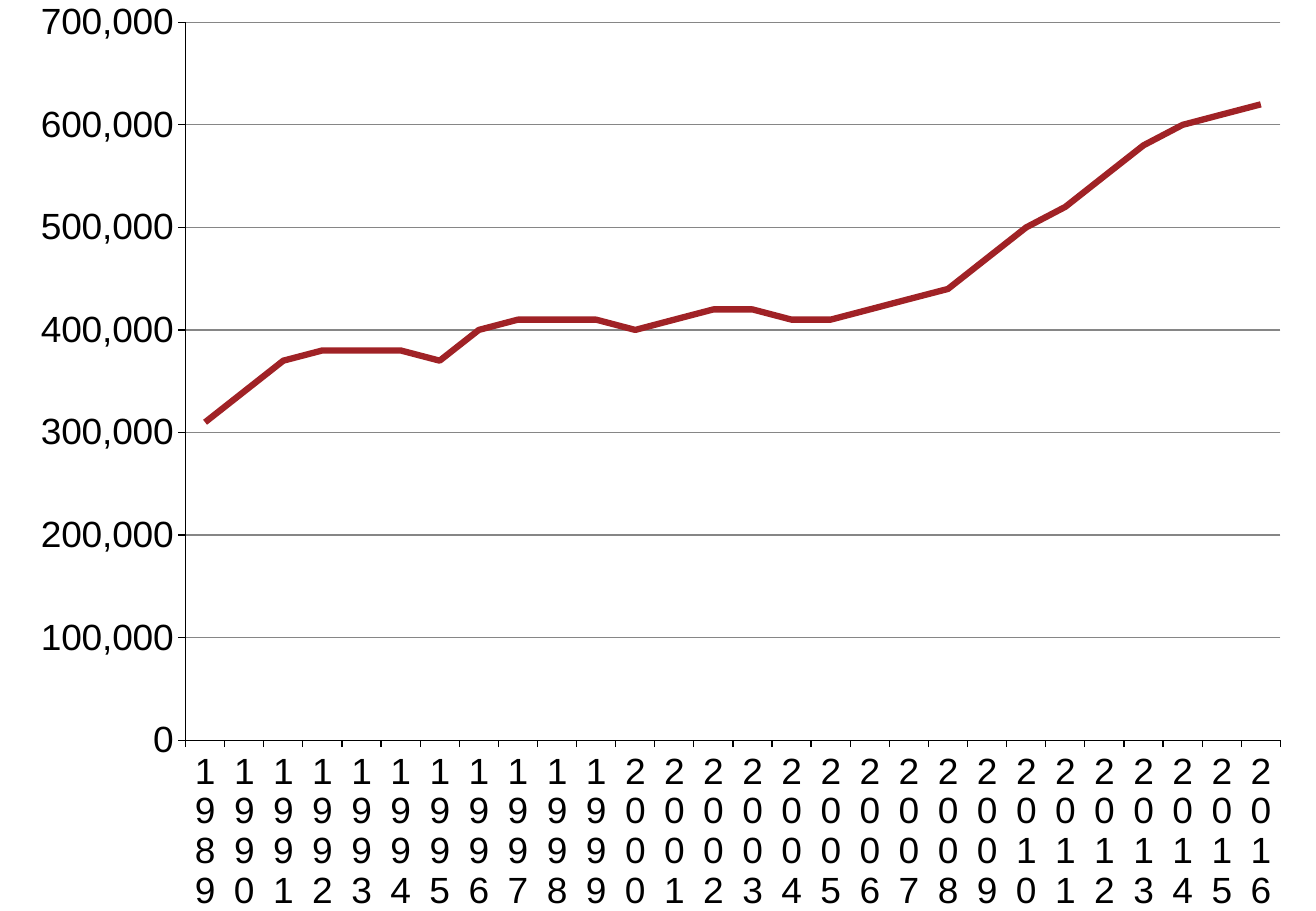
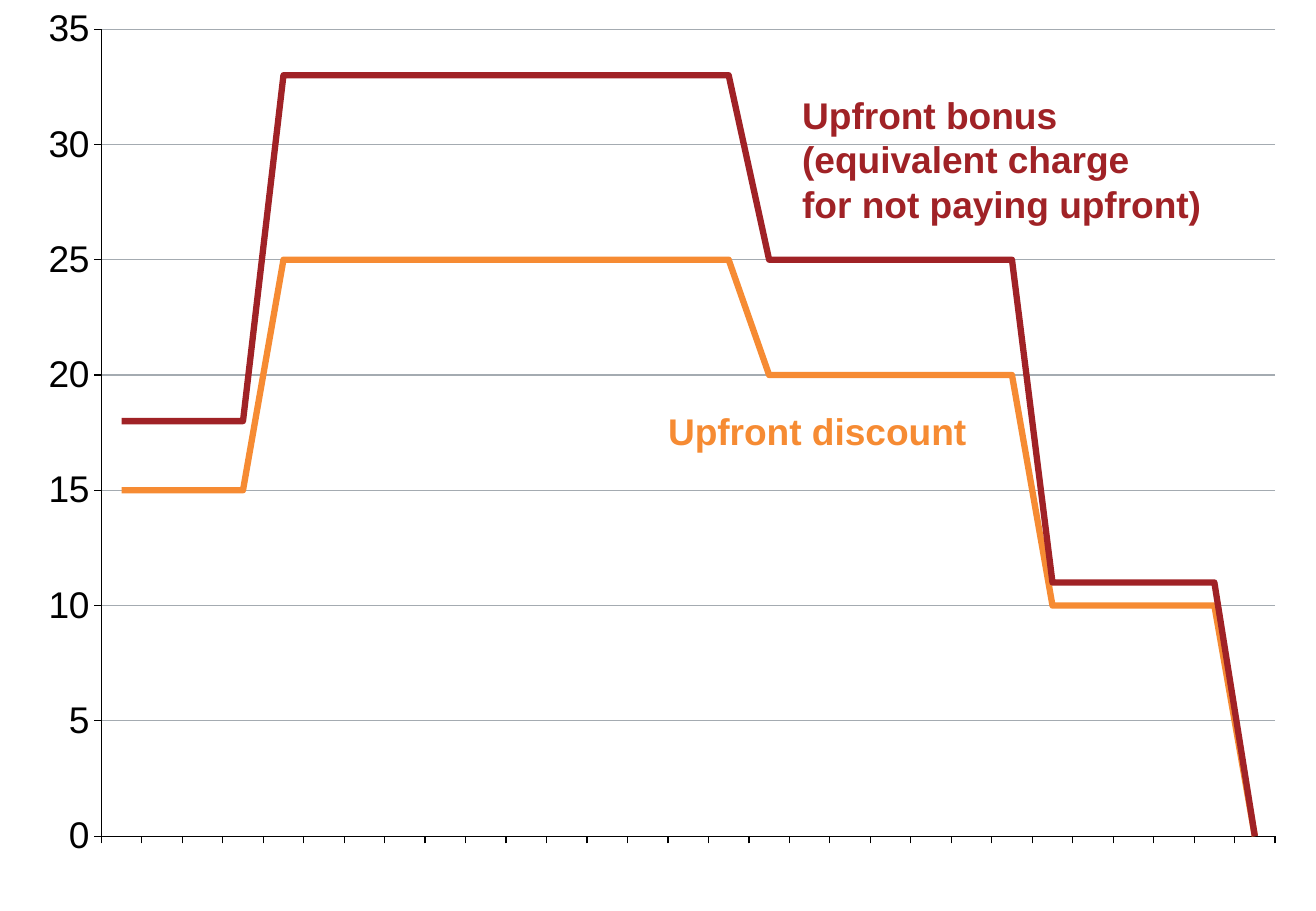
from dataclasses import dataclass

from lxml import etree
from pptx import Presentation
from pptx.chart.chart import Chart
from pptx.chart.data import CategoryChartData
from pptx.dml.color import RGBColor
from pptx.enum.chart import XL_CHART_TYPE, XL_MARKER_STYLE, XL_TICK_LABEL_POSITION, XL_TICK_MARK
from pptx.enum.text import MSO_AUTO_SIZE
from pptx.oxml.ns import qn
from pptx.slide import Slide
from pptx.util import Emu, Pt

LINE = XL_CHART_TYPE.LINE
NO_MARKER = XL_MARKER_STYLE.NONE
OUTSIDE, NO_TICK = XL_TICK_MARK.OUTSIDE, XL_TICK_MARK.NONE
NO_LABELS, LOW_LABELS = XL_TICK_LABEL_POSITION.NONE, XL_TICK_LABEL_POSITION.LOW
FIT_SHAPE = MSO_AUTO_SIZE.SHAPE_TO_FIT_TEXT

BLACK = RGBColor(0x00, 0x00, 0x00)
RED = RGBColor(0xA0, 0x22, 0x26)
ORANGE = RGBColor(0xF6, 0x8B, 0x33)
DARK_GRID = RGBColor(0x86, 0x86, 0x86)
LIGHT_GRID = RGBColor(0xA4, 0xAB, 0xB1)

FONT = "Arial"
TEXT_SIZE = Pt(22)
THIN, THICK = Pt(0.75), Pt(3.75)
EMU_PER_PX = 9525
SLIDE_WIDTH, SLIDE_HEIGHT = 1040, 720
FIRST_YEAR = 1989


def px(length: int) -> Emu:
    return Emu(length * EMU_PER_PX)


@dataclass(frozen=True)
class Series:
    name: str
    color: RGBColor
    values: list[int]


@dataclass(frozen=True)
class LineChart:
    series: list[Series]
    plot: dict[str, float]  # inner plot area as fractions of the chart
    top: int
    step: int
    number_format: str
    grid: RGBColor
    show_years: bool


@dataclass(frozen=True)
class LineLabel:
    left: int
    top: int
    width: int
    height: int
    color: RGBColor
    lines: list[str]


def steps(*runs: tuple[int, int]) -> list[int]:
    """Expand (value, number of years) pairs into yearly values."""
    return [value for value, years in runs for _ in range(years)]


STUDENTS = LineChart(
    series=[Series("Series 1", RED, [
        thousands * 1000 for thousands in (
            310, 340, 370, 380, 380, 380, 370, 400, 410, 410, 410, 400, 410, 420,
            420, 410, 410, 420, 430, 440, 470, 500, 520, 550, 580, 600, 610, 620)])],
    plot={"x": 0.141, "y": 0.025, "w": 0.832, "h": 0.803},
    top=700000, step=100000, number_format="#,##0", grid=DARK_GRID, show_years=True)

UPFRONT_RATES = LineChart(
    series=[
        Series("Series 1", ORANGE, steps((15, 4), (25, 12), (20, 7), (10, 5), (0, 1))),
        Series("Series 2", RED, steps((18, 4), (33, 12), (25, 7), (11, 5), (0, 1)))],
    plot={"x": 0.077, "y": 0.032, "w": 0.892, "h": 0.886},
    top=35, step=5, number_format="0", grid=LIGHT_GRID, show_years=False)

UPFRONT_LABELS = [
    LineLabel(528, 323, 239, 36, ORANGE, ["Upfront discount"]),
    LineLabel(634, 73, 319, 107, RED,
              ["Upfront bonus", "(equivalent charge", "for not paying upfront)"])]


def fix_plot_area(chart: Chart, plot: dict[str, float]) -> None:
    plot_area = chart.element.find(".//" + qn("c:plotArea"))
    for automatic in plot_area.findall(qn("c:layout")):
        plot_area.remove(automatic)
    layout = etree.Element(qn("c:layout"))
    manual = etree.SubElement(layout, qn("c:manualLayout"))
    settings = {"layoutTarget": "inner", "xMode": "edge", "yMode": "edge", **plot}
    for tag, value in settings.items():
        etree.SubElement(manual, qn("c:" + tag)).set("val", str(value))
    plot_area.insert(0, layout)


def show_every_year(chart: Chart) -> None:
    """Label each category, unrotated so that narrow labels wrap."""
    axis = chart.category_axis._element
    skip = etree.Element(qn("c:tickLblSkip"))
    skip.set("val", "1")
    axis.find(qn("c:noMultiLvlLbl")).addprevious(skip)
    body = axis.find(qn("c:txPr")).find(qn("a:bodyPr"))
    body.set("rot", "0")
    body.set("vert", "horz")


def add_line_chart(slide: Slide, content: LineChart) -> None:
    data = CategoryChartData(number_format=content.number_format)
    years = len(content.series[0].values)
    data.categories = range(FIRST_YEAR, FIRST_YEAR + years)
    for series in content.series:
        data.add_series(series.name, series.values)
    chart = slide.shapes.add_chart(
        LINE, 0, 0, px(SLIDE_WIDTH), px(SLIDE_HEIGHT), data).chart
    chart.has_legend = chart.has_title = False
    chart.font.name, chart.font.size = FONT, TEXT_SIZE
    chart.font.color.rgb = BLACK
    chart.plots[0].vary_by_categories = False
    fix_plot_area(chart, content.plot)

    for line, series in zip(chart.plots[0].series, content.series):
        line.smooth = False
        line.marker.style = NO_MARKER
        line.format.line.color.rgb = series.color
        line.format.line.width = THICK

    for axis in (chart.category_axis, chart.value_axis):
        axis.major_tick_mark, axis.minor_tick_mark = OUTSIDE, NO_TICK
        axis.format.line.color.rgb = BLACK
        axis.format.line.width = THIN
        axis.tick_labels.font.size = TEXT_SIZE

    value_format = {"minimum_scale": 0, "maximum_scale": content.top,
                    "major_unit": content.step, "has_major_gridlines": True}
    for attribute, value in value_format.items():
        setattr(chart.value_axis, attribute, value)
    chart.value_axis.tick_labels.number_format = content.number_format
    chart.value_axis.tick_labels.number_format_is_linked = False
    grid = chart.value_axis.major_gridlines.format.line
    grid.color.rgb, grid.width = content.grid, THIN

    chart.category_axis.tick_label_position = LOW_LABELS if content.show_years else NO_LABELS
    if content.show_years:
        show_every_year(chart)


def add_line_label(slide: Slide, label: LineLabel) -> None:
    frame = slide.shapes.add_textbox(
        px(label.left), px(label.top), px(label.width), px(label.height)).text_frame
    frame_format = {"margin_left": 0, "margin_top": 0, "margin_right": 0,
                    "margin_bottom": 0, "word_wrap": False, "auto_size": FIT_SHAPE}
    for attribute, value in frame_format.items():
        setattr(frame, attribute, value)
    frame.text = "\n".join(label.lines)
    for paragraph in frame.paragraphs:
        font = paragraph.runs[0].font
        font.name, font.size, font.bold = FONT, TEXT_SIZE, True
        font.color.rgb = label.color


def main() -> None:
    deck = Presentation()
    deck.slide_width, deck.slide_height = px(SLIDE_WIDTH), px(SLIDE_HEIGHT)
    blank = deck.slide_layouts[6]
    for chart, labels in ((STUDENTS, []), (UPFRONT_RATES, UPFRONT_LABELS)):
        slide = deck.slides.add_slide(blank)
        add_line_chart(slide, chart)
        for label in labels:
            add_line_label(slide, label)
    deck.save("out.pptx")


if __name__ == "__main__":
    main()
